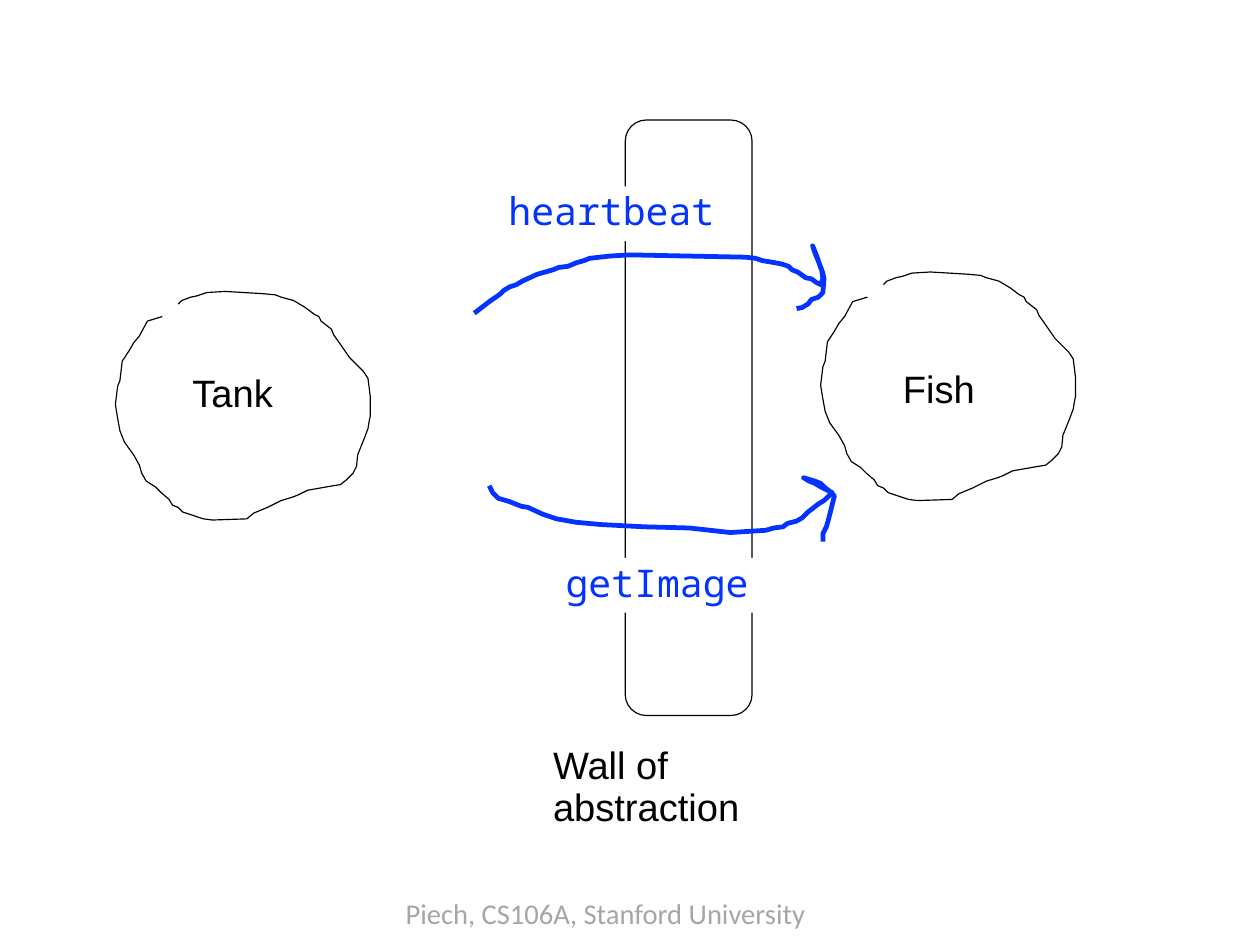
import dataclasses
import lxml.etree
import pptx
import pptx.dml.color
import pptx.enum.shapes
import pptx.enum.text
import pptx.oxml.ns
import pptx.util

Inches = pptx.util.Inches
Kind = pptx.enum.shapes.MSO_SHAPE
Align = pptx.enum.text.PP_ALIGN


def tint(code):
    return pptx.dml.color.RGBColor.from_string(code)


@dataclasses.dataclass(frozen=True)
class Theme:
    ink = tint("000000")
    blue = tint("0432FF")
    gray = tint("A6A6A6")
    paper = tint("FFFFFF")
    sans = "Arial"
    mono = "Noto Sans Mono"
    foot = "Calibri"
    body = pptx.util.Pt(24)
    small = pptx.util.Pt(18)
    thin = pptx.util.Pt(0.75)
    thick = pptx.util.Pt(3)
    lead = 0.93


theme = Theme()

BLOB = [
    (7.59, 2.6), (7.46, 2.64), (7.39, 2.77), (7.34, 2.83), (7.3, 2.9),
    (7.24, 2.99), (7.22, 3.16), (7.2, 3.21), (7.18, 3.37), (7.2, 3.49),
    (7.22, 3.6), (7.26, 3.7), (7.34, 3.81), (7.39, 3.9), (7.41, 3.97),
    (7.45, 4.04), (7.53, 4.09), (7.58, 4.14), (7.65, 4.2), (7.68, 4.25),
    (7.73, 4.27), (7.77, 4.31), (7.83, 4.33), (7.95, 4.37), (8.03, 4.38),
    (8.33, 4.37), (8.39, 4.32), (8.51, 4.27), (8.63, 4.21), (8.73, 4.18),
    (8.78, 4.16), (8.86, 4.12), (9.03, 4.09), (9.15, 4.07), (9.2, 4.03),
    (9.26, 3.97), (9.29, 3.91), (9.3, 3.81), (9.36, 3.66), (9.39, 3.58),
    (9.4, 3.52), (9.41, 3.47), (9.41, 3.3), (9.39, 3.14), (9.35, 3.08),
    (9.23, 2.96), (9.14, 2.83), (9.09, 2.76), (9.07, 2.71), (8.98, 2.64),
    (8.96, 2.6), (8.92, 2.58), (8.84, 2.52), (8.74, 2.46), (8.63, 2.43),
    (8.58, 2.41), (8.47, 2.4), (8.14, 2.38), (7.98, 2.39), (7.89, 2.42),
    (7.84, 2.43), (7.76, 2.46), (7.73, 2.49),
]
BEAT = [
    (4.15, 2.74), (4.28, 2.64), (4.38, 2.57), (4.41, 2.54), (4.46, 2.51),
    (4.52, 2.49), (4.57, 2.46), (4.7, 2.4), (4.84, 2.36), (4.89, 2.34),
    (4.97, 2.33), (5.04, 2.3), (5.11, 2.28), (5.16, 2.26), (5.34, 2.24),
    (5.51, 2.23), (6.52, 2.25), (6.61, 2.26), (6.67, 2.28), (6.79, 2.3),
    (6.84, 2.31), (6.9, 2.33), (6.93, 2.36), (6.98, 2.38), (7.05, 2.43),
    (7.1, 2.44), (7.14, 2.47), (7.18, 2.49), (7.2, 2.44), (7.19, 2.36),
    (7.15, 2.26), (7.13, 2.21), (7.11, 2.15), (7.15, 2.25), (7.18, 2.34),
    (7.2, 2.39), (7.21, 2.44), (7.2, 2.56), (7.16, 2.6), (7.1, 2.62),
    (7.07, 2.66), (7.02, 2.69), (6.97, 2.7),
]
IMAGE = [
    (4.28, 4.25), (4.31, 4.31), (4.36, 4.36), (4.46, 4.39), (4.56, 4.43),
    (4.62, 4.44), (4.75, 4.5), (4.87, 4.54), (5.04, 4.57), (5.26, 4.59),
    (5.64, 4.61), (6.03, 4.62), (6.39, 4.66), (6.7, 4.64), (6.77, 4.62),
    (6.85, 4.61), (6.89, 4.58), (6.97, 4.56), (7.02, 4.53), (7.07, 4.48),
    (7.16, 4.41), (7.21, 4.38), (7.28, 4.31), (7.18, 4.26), (7.13, 4.23),
    (7.08, 4.21), (7.03, 4.18), (7.13, 4.21), (7.18, 4.23), (7.21, 4.26),
    (7.26, 4.3), (7.3, 4.34), (7.25, 4.54), (7.23, 4.61), (7.2, 4.67),
    (7.2, 4.74),
]


def outline(shape, color, width):
    shape.shadow.inherit = False
    shape.fill.background()
    shape.line.color.rgb = color
    shape.line.width = width


def draw_wall(slide, *box):
    wall = slide.shapes.add_shape(Kind.ROUNDED_RECTANGLE, *map(Inches, box))
    outline(wall, theme.ink, theme.thin)


def draw_curve(slide, points, color, width, dx=0, dy=0):
    dots = [(Inches(x + dx), Inches(y + dy)) for x, y in points]
    pen = slide.shapes.build_freeform(*dots[0])
    pen.add_line_segments(dots[1:], close=False)
    curve = pen.convert_to_shape()
    outline(curve, color, width)
    name = pptx.oxml.ns.qn
    line = curve.element.spPr.find(name("a:ln"))
    lxml.etree.SubElement(line, name("a:round"))


def write(shape, words, font, size, color, align=Align.LEFT, wrap=True):
    frame = shape.text_frame
    frame.word_wrap = wrap
    frame.auto_size = pptx.enum.text.MSO_AUTO_SIZE.SHAPE_TO_FIT_TEXT
    frame.vertical_anchor = pptx.enum.text.MSO_ANCHOR.TOP
    para = frame.paragraphs[0]
    para.alignment = align
    para.line_spacing = theme.lead
    run = para.add_run()
    run.text = words
    run.font.name = font
    run.font.size = size
    run.font.color.rgb = color


def add_text(slide, words, box, font=theme.sans, size=theme.body,
             color=theme.ink, **style):
    shape = slide.shapes.add_textbox(*map(Inches, box))
    write(shape, words, font, size, color, **style)


def add_call(slide, words, box):
    shape = slide.shapes.add_shape(Kind.RECTANGLE, *map(Inches, box))
    shape.shadow.inherit = False
    shape.fill.solid()
    shape.fill.fore_color.rgb = theme.paper
    shape.line.fill.background()
    write(shape, words, theme.mono, theme.body, theme.blue, wrap=False)


def main():
    deck = pptx.Presentation()
    deck.slide_width = Inches(28 / 2.54)
    deck.slide_height = Inches(21 / 2.54)
    slide = deck.slides.add_slide(deck.slide_layouts[6])
    add_text(slide, "Piech, CS106A, Stanford University", (3.45, 7.82, 3.74, 0.38),
             theme.foot, theme.small, theme.gray, wrap=False)
    draw_wall(slide, 5.47, 1.05, 1.11, 5.21)
    add_text(slide, "Wall of abstraction", (4.74, 6.47, 2.77, 0.5))
    for words, left, top, dx, dy in [("Fish", 7.53, 3.18, 0, 0),
                                     ("Tank", 1.35, 3.22, -6.17, 0.17)]:
        draw_curve(slide, BLOB, theme.ink, theme.thin, dx, dy)
        add_text(slide, words, (left, top, 1.37, 0.48), align=Align.CENTER)
    for points in (BEAT, IMAGE):
        draw_curve(slide, points, theme.blue, theme.thick)
    add_call(slide, "heartbeat", (4.35, 1.63, 2.02, 0.48))
    add_call(slide, "getImage", (4.85, 4.88, 1.81, 0.48))
    deck.save("out.pptx")


if __name__ == "__main__":
    main()
